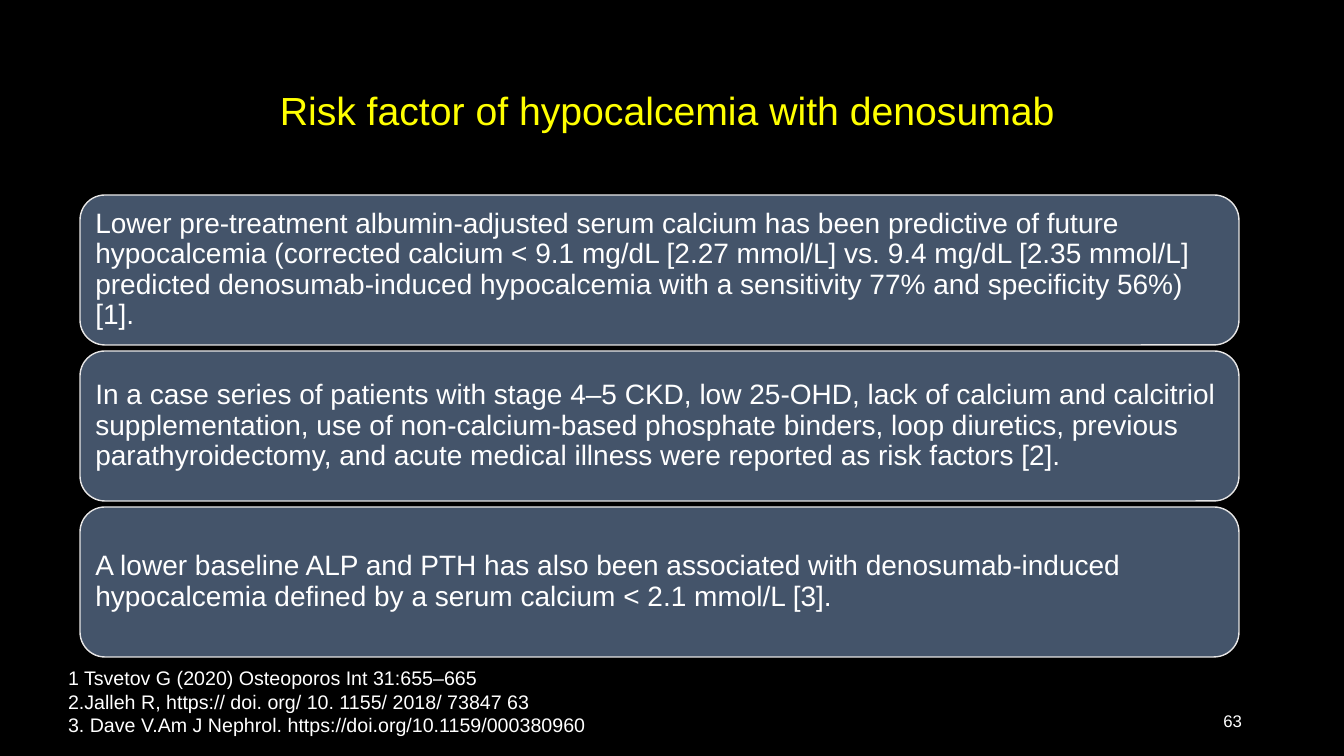
from pptx import Presentation, util as u
from pptx.dml.color import RGBColor
from pptx.enum import shapes, text

PX = 914400 / 100.8
WHITE = "FFFFFF"


def px(*lengths):
    return [u.Emu(round(length * PX)) for length in lengths]


def write(box, lines, size, color=WHITE, align=text.PP_ALIGN.LEFT,
          anchor=text.MSO_ANCHOR.MIDDLE, spacing=1.0, insets=(10, 5)):
    frame = box.text_frame
    frame.word_wrap = True
    frame.vertical_anchor = anchor
    side, end = px(*insets)
    frame.margin_left = frame.margin_right = side
    frame.margin_top = frame.margin_bottom = end
    frame.text = "\n".join(lines)
    for paragraph in frame.paragraphs:
        paragraph.alignment = align
        paragraph.line_spacing = spacing
        for run in paragraph.runs:
            run.font.size = u.Pt(size)
            run.font.name = "Arial"
            run.font.color.rgb = RGBColor.from_string(color)


deck = Presentation()
deck.slide_width, deck.slide_height = px(1344, 756)
slide = deck.slides.add_slide(deck.slide_layouts[6])
slide.background.fill.solid()
slide.background.fill.fore_color.rgb = RGBColor.from_string("000000")

title = slide.shapes.add_textbox(*px(93, 40, 1159, 146))
write(title, ["Risk factor of hypocalcemia with denosumab "], 28, "FFFF00",
      align=text.PP_ALIGN.CENTER, spacing=0.9)

risk_factors = [
    "Lower pre-treatment albumin-adjusted serum calcium has been predictive of future "
    "hypocalcemia (corrected calcium < 9.1 mg/dL [2.27 mmol/L] vs. 9.4 mg/dL [2.35 mmol/L] "
    "predicted denosumab-induced hypocalcemia with a sensitivity 77% and specificity 56%) [1].",
    "In a case series of patients with stage 4–5 CKD, low 25-OHD, lack of calcium and "
    "calcitriol supplementation, use of non-calcium-based phosphate binders, loop diuretics, "
    "previous parathyroidectomy, and acute medical illness were reported as risk factors [2].",
    "A lower baseline ALP and PTH has also been associated with denosumab-induced "
    "hypocalcemia defined by a serum calcium < 2.1 mmol/L [3].",
]
for row, risk_factor in enumerate(risk_factors):
    card = slide.shapes.add_shape(shapes.MSO_SHAPE.ROUNDED_RECTANGLE,
                                  *px(80, 195 + 156 * row, 1159, 150))
    card.shadow.inherit = False
    card.fill.solid()
    card.fill.fore_color.rgb = RGBColor.from_string("44546A")
    card.line.color.rgb = RGBColor.from_string("E7E6E6")
    card.line.width = u.Pt(1)
    write(card, [risk_factor], 20, spacing=0.9, insets=(8, 8))

page_number = slide.shapes.add_textbox(*px(950, 701, 302, 40))
write(page_number, ["63"], 12, align=text.PP_ALIGN.RIGHT)

references = slide.shapes.add_textbox(*px(58, 661, 672, 95))
write(references, [
    "1 Tsvetov G (2020) Osteoporos Int 31:655–665",
    "2.Jalleh R, https:// doi. org/ 10. 1155/ 2018/ 73847 63",
    "3. Dave V.Am J Nephrol. https://doi.org/10.1159/000380960",
], 14, anchor=text.MSO_ANCHOR.TOP)

deck.save("out.pptx")
